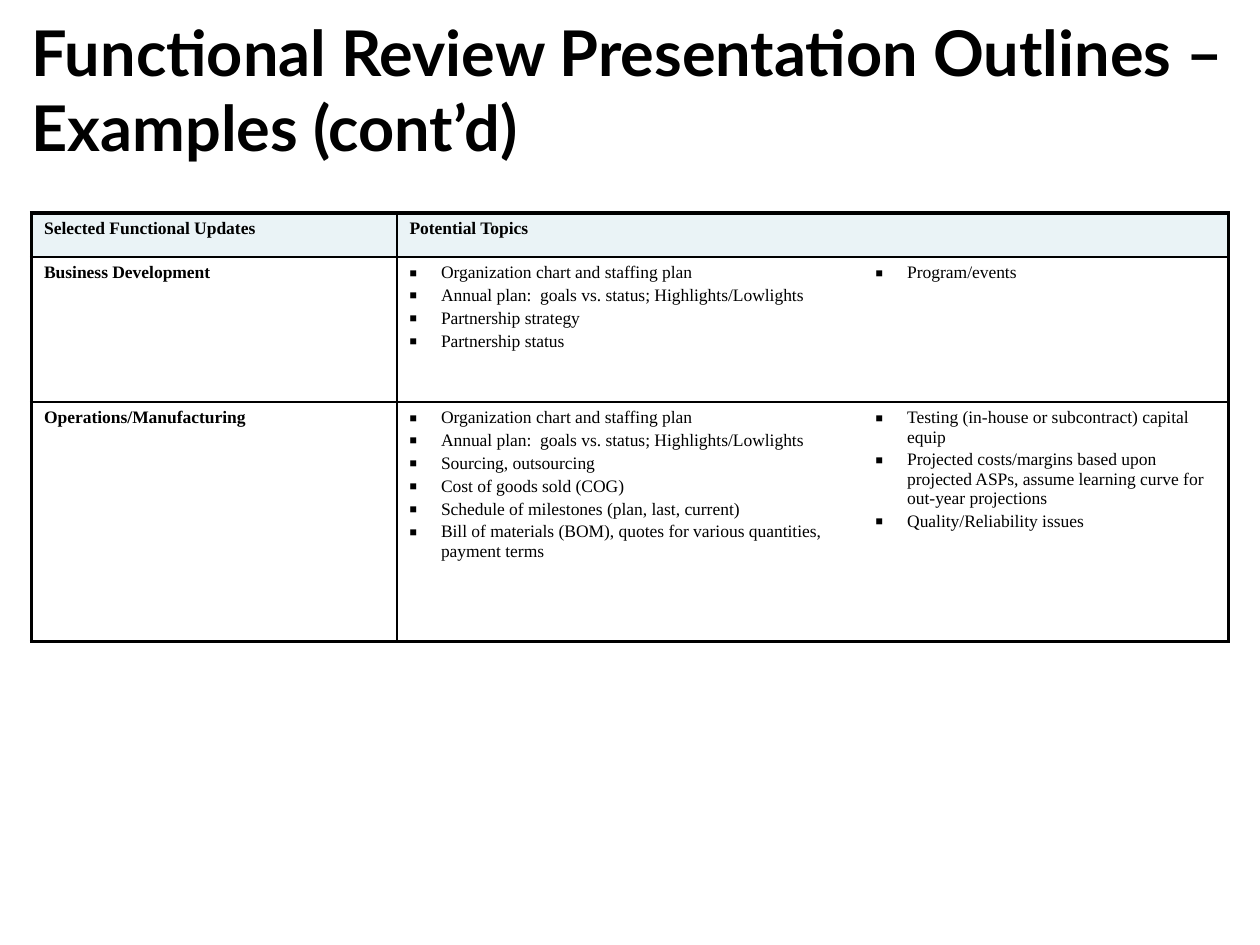
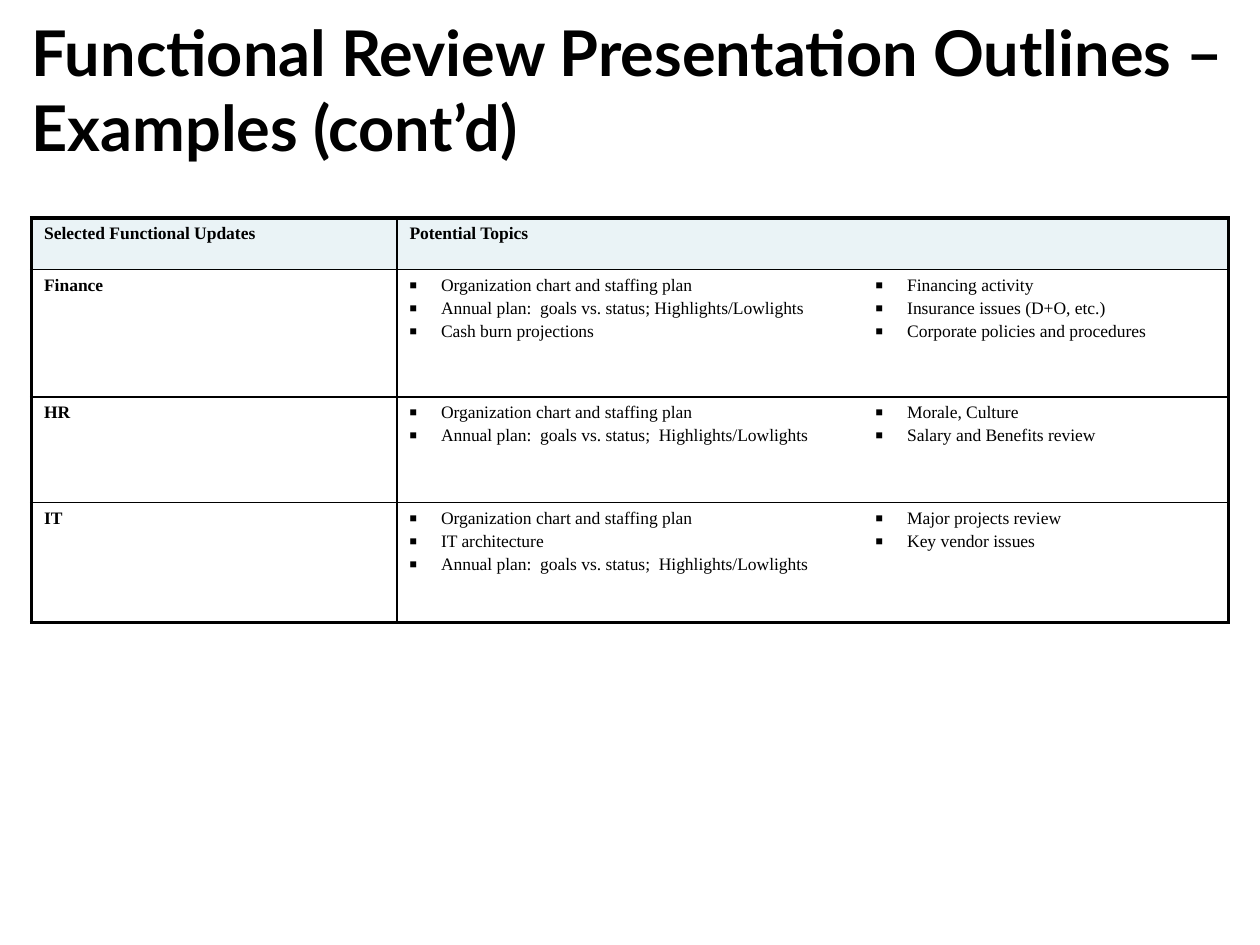
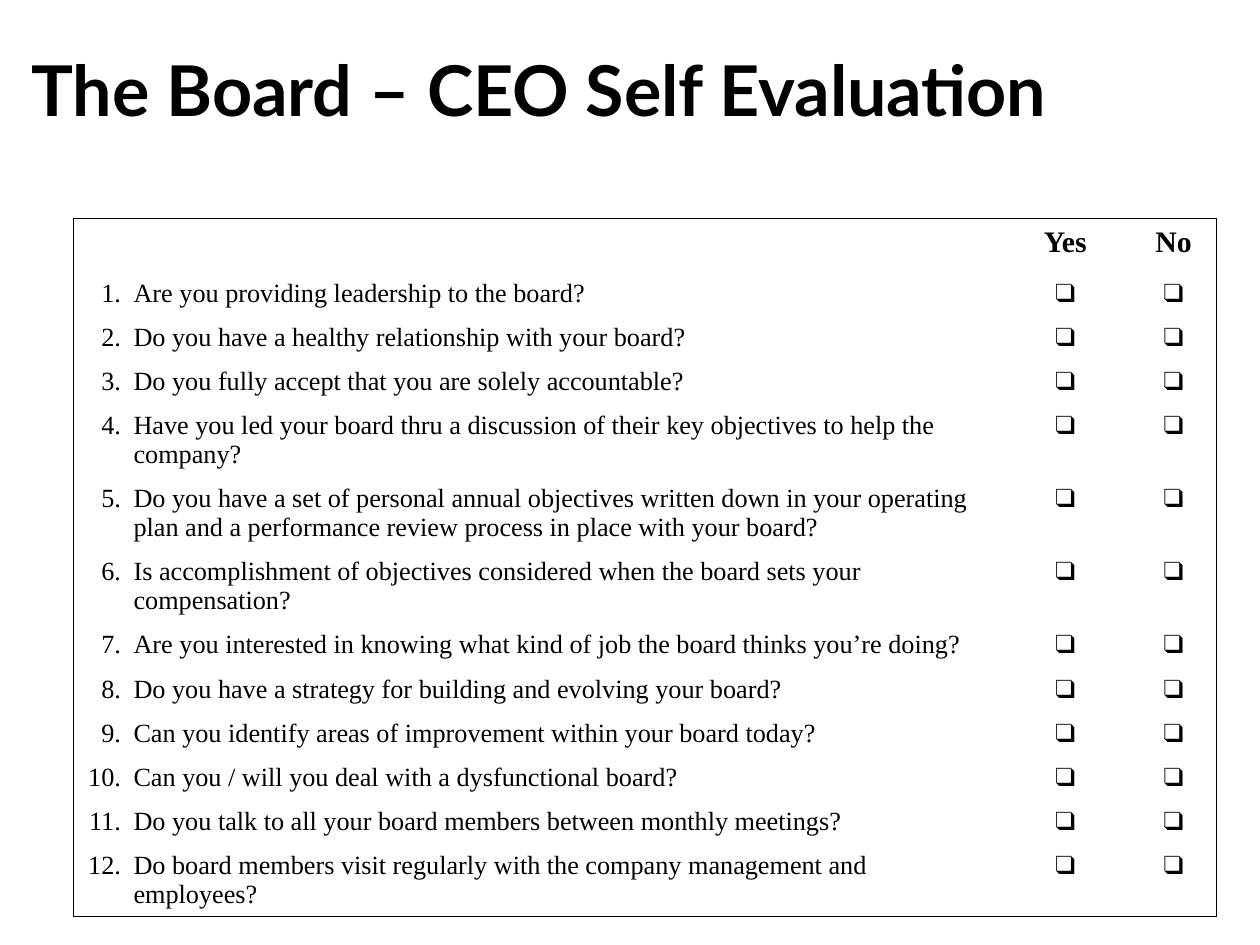
import pptx
import pptx.dml.color
import pptx.enum.text
import pptx.oxml
import pptx.oxml.ns
import pptx.util
from pptx.util import Inches

ALIGN = pptx.enum.text.PP_ALIGN
ANCHOR = pptx.enum.text.MSO_ANCHOR
AUTO_SIZE = pptx.enum.text.MSO_AUTO_SIZE


def color(hex_string):
    return pptx.dml.color.RGBColor.from_string(hex_string)


def add_xml(parent, markup):
    """Append one drawing element, given as markup, to the parent."""
    namespace = pptx.oxml.ns.nsdecls("a")
    tag, rest = markup.split(" ", 1)
    parent.append(pptx.oxml.parse_xml(f"{tag} {namespace} {rest}"))


class Outline:
    """The shared style and the slide being filled."""

    TITLE_FONT = "Lato"
    BODY_FONT = "Times New Roman"
    INK = "000000"
    HEADER_FILL = "D6E8EE"

    def __init__(self):
        self.deck = pptx.Presentation()
        self.deck.slide_width = Inches(10)
        self.deck.slide_height = Inches(7.5)
        self.page = None

    def format_run(self, run, font_name, size, bold):
        run.font.name = font_name
        run.font.size = pptx.util.Pt(size)
        run.font.bold = bold
        run.font.color.rgb = color(self.INK)

    def new_page(self, title, size):
        self.page = self.deck.slides.add_slide(self.deck.slide_layouts[5])
        box = self.page.shapes.title
        box.left, box.top = Inches(0.25), Inches(0.33)
        box.width, box.height = Inches(9.5), Inches(0.75)
        frame = box.text_frame
        frame.text = title
        frame.word_wrap = True
        frame.auto_size = AUTO_SIZE.NONE
        frame.vertical_anchor = ANCHOR.MIDDLE
        frame.margin_left = frame.margin_right = 0
        frame.margin_top = frame.margin_bottom = 0
        para = frame.paragraphs[0]
        para.alignment = ALIGN.LEFT
        self.format_run(para.runs[0], self.TITLE_FONT, size, True)

    def table(self, left, top, widths, heights):
        frame = self.page.shapes.add_table(
            len(heights), len(widths), Inches(left), Inches(top),
            Inches(sum(widths)), Inches(sum(heights)))
        grid = frame.table
        grid.first_row = grid.horz_banding = False
        for column, width in zip(grid.columns, widths):
            column.width = Inches(width)
        for row, height in zip(grid.rows, heights):
            row.height = Inches(height)
        return grid

    def borders(self, grid, outer, inner=0, dividers=()):
        """Frame the grid, rule its rows, and draw the listed column dividers."""
        row_count, column_count = len(grid.rows), len(grid.columns)

        def row_rule(edge):
            return outer if edge in (0, row_count) else inner

        def column_rule(edge):
            if edge in (0, column_count):
                return outer
            return inner if edge in dividers else 0

        for row in range(row_count):
            for column in range(column_count):
                cell = grid.cell(row, column)
                if cell.is_spanned:
                    continue
                span = cell.span_width if cell.is_merge_origin else 1
                properties = cell._tc.get_or_add_tcPr()
                for side, width in (("L", column_rule(column)),
                                    ("R", column_rule(column + span)),
                                    ("T", row_rule(row)),
                                    ("B", row_rule(row + 1))):
                    paint = (f'<a:solidFill><a:srgbClr val="{self.INK}"/></a:solidFill>'
                             if width else "<a:noFill/>")
                    add_xml(properties, f'<a:ln{side} w="{pptx.util.Pt(width)}">'
                                        f'{paint}</a:ln{side}>')
                cell.fill.background()

    def shade(self, cell):
        cell.fill.solid()
        cell.fill.fore_color.rgb = color(self.HEADER_FILL)
        fill_color = cell.fill._xPr.find(
            f"{pptx.oxml.ns.qn('a:solidFill')}/{pptx.oxml.ns.qn('a:srgbClr')}")
        add_xml(fill_color, '<a:alpha val="50000"/>')

    def cell_text(self, cell, lines, size, bold=False, align=ALIGN.LEFT, bullets=False):
        cell.text_frame.text = "\n".join(lines)
        for index, para in enumerate(cell.text_frame.paragraphs):
            if bullets:
                self.bullet(para)
            if index:
                para.space_before = pptx.util.Pt(0.2 * size)
            para.alignment = align
            for span in para.runs:
                self.format_run(span, self.BODY_FONT, size, bold)

    def bullet(self, para):
        properties = para._p.get_or_add_pPr()
        properties.set("marL", str(Inches(0.25)))
        properties.set("indent", str(-Inches(0.25)))
        add_xml(properties, f'<a:buClr ><a:srgbClr val="{self.INK}"/></a:buClr>')
        add_xml(properties, '<a:buSzPct val="70000"/>')
        add_xml(properties, f'<a:buFont typeface="{self.BODY_FONT}"/>')
        add_xml(properties, '<a:buChar char="■"/>')

    def topics_page(self, top, heights, functions):
        """Functions by row, each with two lists of topics."""
        self.new_page("Functional Review Presentation Outlines – Examples (cont’d)", 36)
        grid = self.table(0.25, top, [2.9, 3.7, 2.9], heights)
        grid.cell(0, 1).merge(grid.cell(0, 2))
        self.borders(grid, outer=2.25, inner=1, dividers=(1,))
        for column, heading in enumerate(("Selected Functional Updates", "Potential Topics")):
            self.cell_text(grid.cell(0, column), [heading], 10, bold=True)
            self.shade(grid.cell(0, column))
        for row, (name, *topic_lists) in enumerate(functions, 1):
            self.cell_text(grid.cell(row, 0), [name], 10, bold=True)
            for column, topics in enumerate(topic_lists, 1):
                self.cell_text(grid.cell(row, column), topics, 10, bullets=True)

    def checklist_page(self, title, questions, two_line):
        """Numbered questions with a box to tick for each answer."""
        self.new_page(title, 40)
        heights = [0.4] + [0.58 if number in two_line else 0.35
                           for number in range(1, len(questions) + 1)]
        grid = self.table(0.58, 1.73, [0.38, 6.97, 1.05, 0.67], heights)
        self.borders(grid, outer=0.25)
        for cell in grid.iter_cells():
            cell.margin_top = cell.margin_bottom = Inches(0.06)
        for column, answer in enumerate(("Yes", "No"), 2):
            self.cell_text(grid.cell(0, column), [answer], 17, True, ALIGN.CENTER)
        for number, question in enumerate(questions, 1):
            grid.cell(number, 0).margin_right = 0
            self.cell_text(grid.cell(number, 0), [f"{number}."], 15, align=ALIGN.RIGHT)
            self.cell_text(grid.cell(number, 1), [question], 15)
            for column in (2, 3):
                self.cell_text(grid.cell(number, column), ["❑"], 15, align=ALIGN.CENTER)


STAFFING = "Organization chart and staffing plan"
ANNUAL_PLAN = "Annual plan:  goals vs. status; Highlights/Lowlights"
ANNUAL_PLAN_WIDE = "Annual plan:  goals vs. status;  Highlights/Lowlights"

DEVELOPMENT_AND_OPERATIONS = [
    ("Business Development",
     [STAFFING, ANNUAL_PLAN, "Partnership strategy", "Partnership status"],
     ["Program/events"]),
    ("Operations/Manufacturing",
     [STAFFING, ANNUAL_PLAN, "Sourcing, outsourcing", "Cost of goods sold (COG)",
      "Schedule of milestones (plan, last, current)",
      "Bill of materials (BOM), quotes for various quantities, payment terms"],
     ["Testing (in-house or subcontract) capital equip",
      "Projected costs/margins based upon projected ASPs, "
      "assume learning curve for out-year projections",
      "Quality/Reliability issues"]),
]

SUPPORT_FUNCTIONS = [
    ("Finance",
     [STAFFING, ANNUAL_PLAN, "Cash burn projections"],
     ["Financing activity", "Insurance issues (D+O, etc.)",
      "Corporate policies and procedures"]),
    ("HR",
     [STAFFING, ANNUAL_PLAN_WIDE],
     ["Morale, Culture", "Salary and Benefits review"]),
    ("IT",
     [STAFFING, "IT architecture", ANNUAL_PLAN_WIDE],
     ["Major projects review", "Key vendor issues"]),
]

CEO_QUESTIONS = [
    "Are you providing leadership to the board?",
    "Do you have a healthy relationship with your board?",
    "Do you fully accept that you are solely accountable?",
    "Have you led your board thru a discussion of their key objectives to help the company?",
    "Do you have a set of personal annual objectives written down in your operating plan "
    "and a performance review process in place with your board?",
    "Is accomplishment of objectives considered when the board sets your compensation?",
    "Are you interested in knowing what kind of job the board thinks you’re doing?",
    "Do you have a strategy for building and evolving your board?",
    "Can you identify areas of improvement within your board today?",
    "Can you / will you deal with a dysfunctional board?",
    "Do you talk to all your board members between monthly meetings?",
    "Do board members visit regularly with the company management and employees?",
]


def main():
    outline = Outline()
    # Review topics by function
    outline.topics_page(1.69, [0.35, 1.15, 1.9], DEVELOPMENT_AND_OPERATIONS)
    outline.topics_page(1.73, [0.41, 1.01, 0.84, 0.95], SUPPORT_FUNCTIONS)
    # Self evaluation
    outline.checklist_page("The Board – CEO Self Evaluation", CEO_QUESTIONS,
                           two_line=(4, 5, 6, 12))
    outline.deck.save("out.pptx")


if __name__ == "__main__":
    main()
